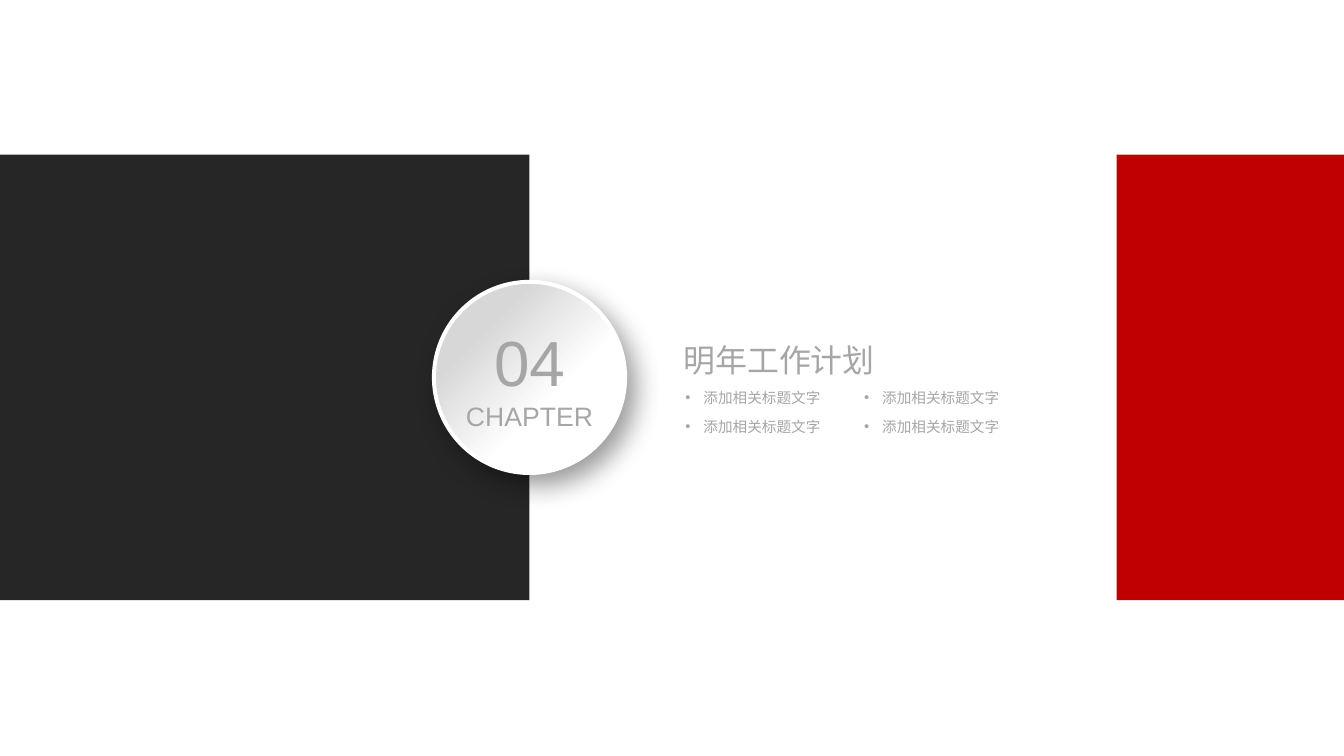
from dataclasses import dataclass
from itertools import product

from lxml import etree
from pptx import Presentation
from pptx.dml.color import RGBColor
from pptx.enum.shapes import MSO_SHAPE
from pptx.enum.text import MSO_ANCHOR, MSO_AUTO_SIZE, PP_ALIGN
from pptx.oxml.ns import qn
from pptx.util import Cm, Pt

RECTANGLE = MSO_SHAPE.RECTANGLE
OVAL = MSO_SHAPE.OVAL
MIDDLE = MSO_ANCHOR.MIDDLE
GROW = MSO_AUTO_SIZE.SHAPE_TO_FIT_TEXT
CENTER = PP_ALIGN.CENTER


@dataclass(frozen=True)
class Theme:
    """Colours, font and type sizes of the slide."""
    dark: str = "262626"
    red: str = "C00000"
    white: str = "FFFFFF"
    silver: str = "D7D7D7"
    grey: str = "A6A6A6"
    shadow: str = "000000"
    font: str = "Arial"
    number: int = 48
    label: int = 20
    title: int = 24
    item: int = 11


THEME = Theme()
SLIDE_WIDTH, SLIDE_HEIGHT = Cm(35.71), Cm(20.09)
BAND_TOP, BAND_HEIGHT = Cm(4.11), Cm(11.84)
DARK_WIDTH, RED_LEFT = Cm(14.07), Cm(29.67)
BADGE_SIZE = Cm(5.08)


def add_band(slide, box, color):
    """Draw a plain coloured band filling the box."""
    shape = slide.shapes.add_shape(RECTANGLE, *box)
    shape.shadow.inherit = False
    shape.fill.solid()
    shape.fill.fore_color.rgb = RGBColor.from_string(color)
    shape.line.fill.background()


def add_text(slide, box, lines, margin=True, wrap=True):
    """Add a grey text box holding (text, size) lines and return its frame."""
    text_frame = slide.shapes.add_textbox(*box).text_frame
    text_frame.word_wrap = wrap
    text_frame.auto_size = GROW
    if not margin:
        text_frame.margin_left = text_frame.margin_right = 0
        text_frame.margin_top = text_frame.margin_bottom = 0
    text_frame.text = "\n".join(text for text, size in lines)
    for paragraph, (text, size) in zip(text_frame.paragraphs, lines):
        font = paragraph.runs[0].font
        font.name = THEME.font
        font.size = Pt(size)
        font.color.rgb = RGBColor.from_string(THEME.grey)
    return text_frame


def add_drop_shadow(shape):
    """Give the shape a soft shadow towards the lower right."""
    shape.shadow.inherit = False
    effects = shape._element.spPr.find(qn("a:effectLst"))
    shadow = etree.SubElement(
        effects, qn("a:outerShdw"), blurRad=str(Pt(20)), dist=str(Pt(10)),
        dir=str(50 * 60000), algn="tl", rotWithShape="0")
    color = etree.SubElement(shadow, qn("a:srgbClr"), val=THEME.shadow)
    etree.SubElement(color, qn("a:alpha"), val="40000")


def add_badge(slide, box, number, label):
    """Draw the round chapter badge with its number and label."""
    left, top, width, height = box
    circle = slide.shapes.add_shape(OVAL, *box)
    circle.fill.gradient()
    circle.fill.gradient_angle = 315
    stops = ((0.25, THEME.silver), (0.62, THEME.white))
    for stop, (position, color) in zip(circle.fill.gradient_stops, stops):
        stop.position = position
        stop.color.rgb = RGBColor.from_string(color)
    circle.line.color.rgb = RGBColor.from_string(THEME.white)
    circle.line.width = Pt(3)
    add_drop_shadow(circle)

    text_width, text_height = Cm(4.22), Cm(2.9)
    text_box = (left + (width - text_width) // 2,
                top + (height - text_height) // 2, text_width, text_height)
    lines = ((number, THEME.number), (label, THEME.label))
    text_frame = add_text(slide, text_box, lines, margin=False)
    text_frame.vertical_anchor = MIDDLE
    for paragraph in text_frame.paragraphs:
        paragraph.alignment = CENTER


def add_bullet(paragraph):
    """Turn the paragraph into a hanging bullet item."""
    paragraph.level = 1
    properties = paragraph._p.get_or_add_pPr()
    properties.set("marL", str(Cm(0.48)))
    properties.set("indent", str(-Cm(0.48)))
    etree.SubElement(properties, qn("a:buFont"), typeface=THEME.font)
    etree.SubElement(properties, qn("a:buChar"), char="•")


def add_heading(slide, box, title, item):
    """Place the chapter title above a two by two grid of bullet items."""
    left, top, width, height = box
    add_text(slide, (left, top, width, Cm(1.02)),
             ((title, THEME.title),), margin=False)
    for row, column in product(range(2), repeat=2):
        item_box = (left - Cm(0.2) + column * Cm(4.75),
                    top + Cm(1.17) + row * Cm(0.76), Cm(4.14), Cm(0.74))
        text_frame = add_text(slide, item_box, ((item, THEME.item),), wrap=False)
        add_bullet(text_frame.paragraphs[0])


def add_chapter_slide(presentation):
    """Build the chapter divider slide."""
    slide = presentation.slides.add_slide(presentation.slide_layouts[6])
    add_band(slide, (0, BAND_TOP, DARK_WIDTH, BAND_HEIGHT), THEME.dark)
    add_band(slide, (RED_LEFT, BAND_TOP, SLIDE_WIDTH - RED_LEFT, BAND_HEIGHT),
             THEME.red)
    badge_box = (DARK_WIDTH - BADGE_SIZE // 2,
                 BAND_TOP + (BAND_HEIGHT - BADGE_SIZE) // 2,
                 BADGE_SIZE, BADGE_SIZE)
    add_badge(slide, badge_box, "04", "CHAPTER")
    add_heading(slide, (Cm(18.16), Cm(9.04), Cm(8.84), Cm(2.67)),
                "明年工作计划", "添加相关标题文字")


def main():
    """Create and save the presentation."""
    presentation = Presentation()
    presentation.slide_width = SLIDE_WIDTH
    presentation.slide_height = SLIDE_HEIGHT
    add_chapter_slide(presentation)
    presentation.save("out.pptx")


if __name__ == "__main__":
    main()
